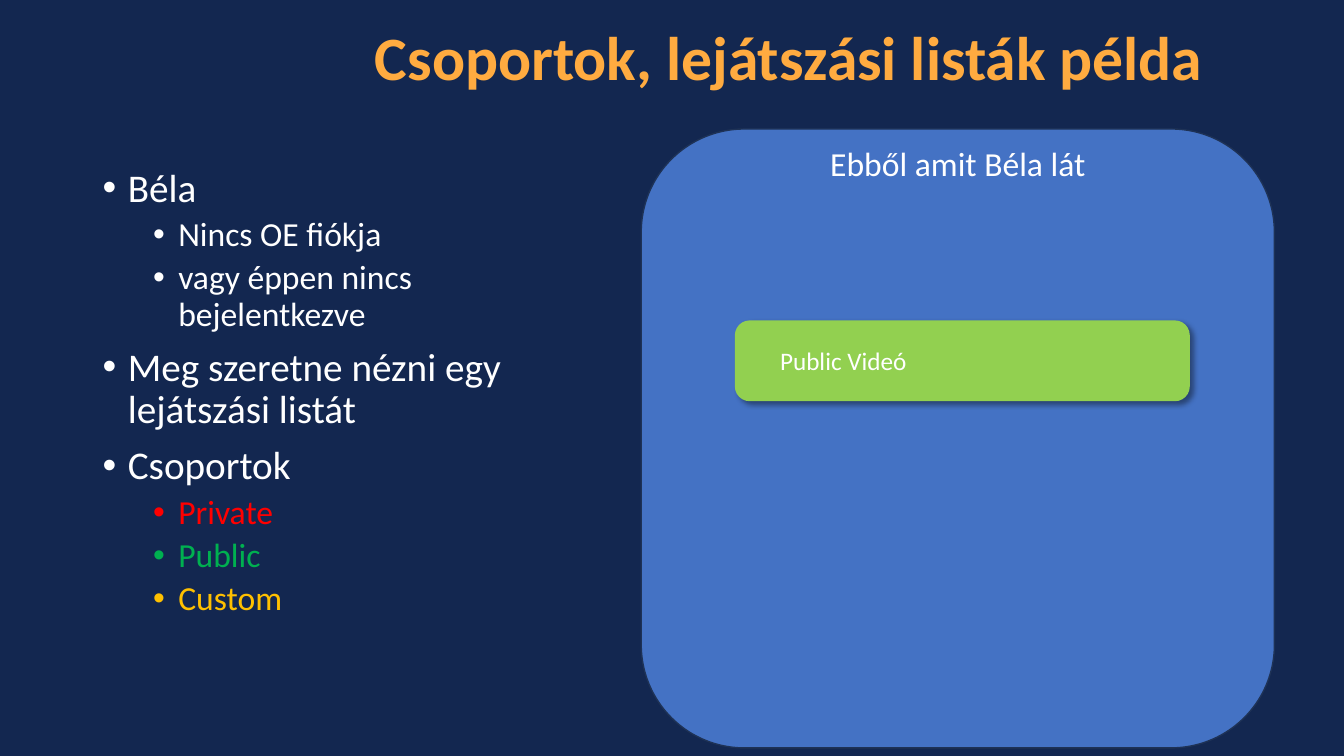
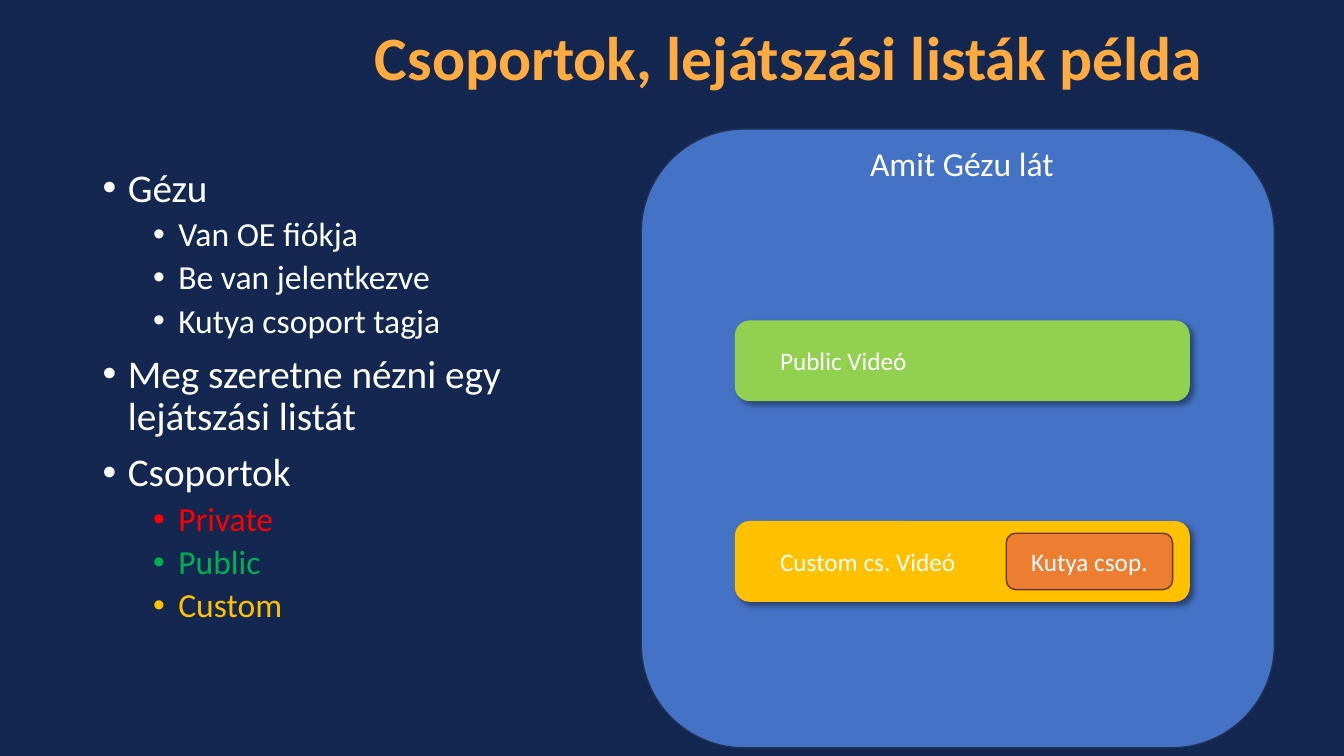
"""Build two slides showing which videos of a playlist each visitor sees."""
from lxml import etree
from pptx import Presentation
from pptx.dml.color import RGBColor
from pptx.enum.shapes import MSO_SHAPE
from pptx.enum.text import MSO_ANCHOR, PP_ALIGN
from pptx.oxml import parse_xml
from pptx.oxml.ns import nsdecls, qn
from pptx.util import Inches, Pt

ROUNDED = MSO_SHAPE.ROUNDED_RECTANGLE
TOP, MIDDLE = MSO_ANCHOR.TOP, MSO_ANCHOR.MIDDLE
LEFT, CENTER = PP_ALIGN.LEFT, PP_ALIGN.CENTER

FONT = "Calibri"
NAVY = RGBColor(0x13, 0x27, 0x50)
ORANGE = RGBColor(0xFF, 0xAB, 0x40)
WHITE = RGBColor(0xFF, 0xFF, 0xFF)
RED = RGBColor(0xFF, 0x00, 0x00)
GREEN = RGBColor(0x00, 0xB0, 0x50)
AMBER = RGBColor(0xFF, 0xC0, 0x00)
BLUE = RGBColor(0x44, 0x72, 0xC4)
BLUE_EDGE = RGBColor(0x1E, 0x32, 0x56)
LIME = RGBColor(0x92, 0xD0, 0x50)
RUST = RGBColor(0xED, 0x7D, 0x31)
RUST_EDGE = RGBColor(0x68, 0x37, 0x15)

TITLE = "Csoportok, lejátszási listák példa"
SHARED_BULLETS = [
    (0, "Meg szeretne nézni egy lejátszási listát", WHITE),
    (0, "Csoportok", WHITE),
    (1, "Private", RED),
    (1, "Public", GREEN),
    (1, "Custom", AMBER),
]
PUBLIC_VIDEO = {"text": "Public Videó", "color": LIME, "top": 3.2}
CUSTOM_VIDEO = {"text": "Custom cs. Videó", "color": AMBER, "top": 5.19, "group": "Kutya csop."}
SLIDES = [
    {
        "visitor": "Béla",
        "facts": ["Nincs OE fiókja", "vagy éppen nincs bejelentkezve"],
        "caption": "Ebből amit Béla lát",
        "caption_left": 7.97,
        "videos": [PUBLIC_VIDEO],
    },
    {
        "visitor": "Gézu",
        "facts": ["Van OE fiókja", "Be van jelentkezve", "Kutya csoport tagja"],
        "caption": "Amit Gézu lát",
        "caption_left": 8.01,
        "videos": [PUBLIC_VIDEO, CUSTOM_VIDEO],
    },
]
LEVELS = [
    {"size": 28, "space_before": 10, "indent": 0.25},
    {"size": 24, "space_before": 5, "indent": 0.75},
]
HANGING = 0.25
BAR_LEFT, BAR_WIDTH, BAR_HEIGHT = 7.31, 4.47, 0.76
GROUP_LEFT, GROUP_WIDTH, GROUP_HEIGHT = 9.98, 1.65, 0.56


def write(paragraph, text, size=18, color=WHITE, bold=False, align=LEFT, spacing=1.0):
    """Put formatted text into a paragraph."""
    paragraph.alignment = align
    paragraph.line_spacing = spacing
    run = paragraph.add_run()
    run.text = text
    run.font.name = FONT
    run.font.size = Pt(size)
    run.font.bold = bold
    run.font.color.rgb = color


def add_text_frame(slide, box, anchor=TOP):
    """Add a wrapping text box and return its text frame."""
    frame = slide.shapes.add_textbox(*map(Inches, box)).text_frame
    frame.word_wrap = True
    frame.vertical_anchor = anchor
    return frame


def add_rounded(slide, box, fill, edge, edge_width=1):
    """Add a flat rounded rectangle."""
    shape = slide.shapes.add_shape(ROUNDED, *map(Inches, box))
    shape.shadow.inherit = False
    shape.fill.solid()
    shape.fill.fore_color.rgb = fill
    shape.line.color.rgb = edge
    shape.line.width = Pt(edge_width)
    shape.text_frame.vertical_anchor = MIDDLE
    return shape


def add_drop_shadow(shape):
    """Give a shape a soft shadow to the lower right."""
    effects = shape.element.spPr.find(qn("a:effectLst"))
    effects.append(parse_xml(
        f'<a:outerShdw {nsdecls("a")} blurRad="{Pt(4)}" dist="{Pt(3)}" dir="2700000" algn="tl" '
        'rotWithShape="0"><a:srgbClr val="000000"><a:alpha val="40000"/></a:srgbClr></a:outerShdw>'
    ))


def add_bullets(slide, bullets):
    """Add the two-level bullet list on the left."""
    frame = add_text_frame(slide, (0.92, 1.62, 5.03, 5.73))
    for index, (level, text, color) in enumerate(bullets):
        paragraph = frame.add_paragraph() if index else frame.paragraphs[0]
        style = LEVELS[level]
        write(paragraph, text, size=style["size"], color=color, spacing=0.9)
        paragraph.level = level
        paragraph.space_before = Pt(style["space_before"])
        properties = paragraph._p.get_or_add_pPr()
        properties.set("marL", str(Inches(style["indent"])))
        properties.set("indent", str(-Inches(HANGING)))
        etree.SubElement(properties, qn("a:buFont"), typeface="Arial")
        etree.SubElement(properties, qn("a:buChar"), char="•")


def add_video(slide, video):
    """Add a video bar and, when it has one, its group label."""
    color, top = video["color"], video["top"]
    bar = add_rounded(slide, (BAR_LEFT, top, BAR_WIDTH, BAR_HEIGHT), color, color, 3)
    add_drop_shadow(bar)
    bar.text_frame.margin_left = Inches(0.39)
    write(bar.text_frame.paragraphs[0], video["text"])
    if "group" in video:
        group_top = top + (BAR_HEIGHT - GROUP_HEIGHT) / 2
        box = (GROUP_LEFT, group_top, GROUP_WIDTH, GROUP_HEIGHT)
        label = add_rounded(slide, box, RUST, RUST_EDGE)
        write(label.text_frame.paragraphs[0], video["group"], align=CENTER)


def add_slide(presentation, content):
    """Add one visitor's slide."""
    slide = presentation.slides.add_slide(presentation.slide_layouts[6])
    title = add_text_frame(slide, (3.62, 0.15, 8.79, 0.91), MIDDLE)
    write(title.paragraphs[0], TITLE, size=44, color=ORANGE, bold=True, spacing=0.9)
    facts = [(1, fact, WHITE) for fact in content["facts"]]
    add_bullets(slide, [(0, content["visitor"], WHITE), *facts, *SHARED_BULLETS])
    add_rounded(slide, (6.36, 1.28, 6.28, 6.14), BLUE, BLUE_EDGE)
    caption = add_text_frame(slide, (content["caption_left"], 1.37, 3.06, 0.5))
    write(caption.paragraphs[0], content["caption"], size=24, align=CENTER)
    for video in content["videos"]:
        add_video(slide, video)


def main():
    """Build and save the presentation."""
    presentation = Presentation()
    presentation.slide_width = Inches(13.33)
    presentation.slide_height = Inches(7.5)
    background = presentation.slide_master.background.fill
    background.solid()
    background.fore_color.rgb = NAVY
    for content in SLIDES:
        add_slide(presentation, content)
    presentation.save("out.pptx")


if __name__ == "__main__":
    main()
